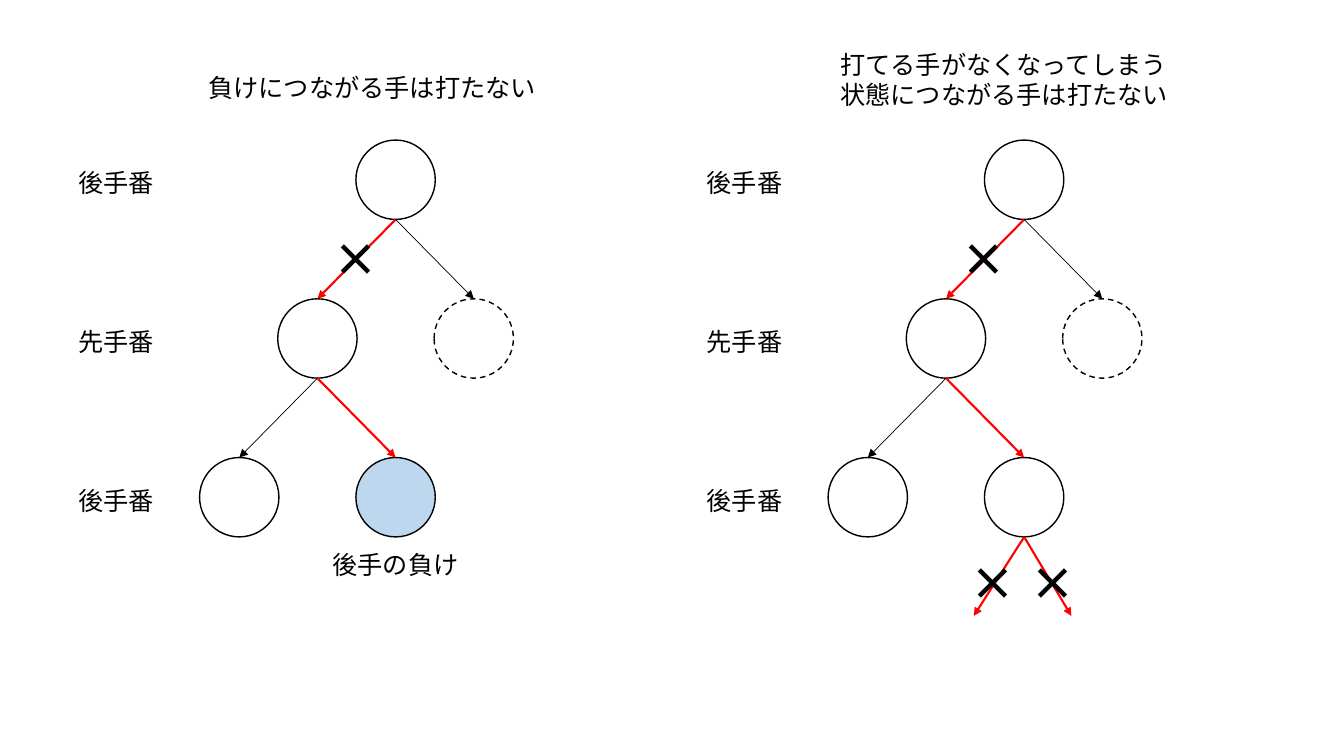
import pptx
import pptx.dml.color
import pptx.enum.dml
import pptx.enum.shapes
import pptx.enum.text
import pptx.oxml
import pptx.oxml.ns
import pptx.util
from pptx.util import Cm

BLACK = pptx.dml.color.RGBColor(0x00, 0x00, 0x00)
WHITE = pptx.dml.color.RGBColor(0xFF, 0xFF, 0xFF)
RED = pptx.dml.color.RGBColor(0xFF, 0x00, 0x00)
LOSS_BLUE = pptx.dml.color.RGBColor(0xBD, 0xD7, 0xEE)
FONT = "Noto Sans CJK JP"

# Tree grid in centimetres, measured from the left edge of a panel
PANEL_STEP = 15.84
DIAMETER = 2
COLUMNS = [6.03 + 1.97 * i for i in range(4)]  # circle centres
ROWS = [3.53 + 4 * i for i in range(3)]  # circle tops


def add_xml(parent, tag, attributes=""):
    namespace = pptx.oxml.ns.nsdecls("a")
    parent.append(pptx.oxml.parse_xml(f"<a:{tag} {namespace} {attributes}/>"))


def add_text(slide, text, x, y, width, height=1.02, size=18, bold=False, wrap=True):
    box = slide.shapes.add_textbox(Cm(x), Cm(y), Cm(width), Cm(height))
    box.text_frame.word_wrap = wrap
    box.text_frame.auto_size = pptx.enum.text.MSO_AUTO_SIZE.SHAPE_TO_FIT_TEXT
    paragraph = box.text_frame.paragraphs[0]
    paragraph.text = text
    font = paragraph.font
    font.name = FONT
    font.size = pptx.util.Pt(size)
    font.bold = bold
    font.color.rgb = BLACK
    # East Asian typeface
    add_xml(paragraph._p.pPr.find(pptx.oxml.ns.qn("a:defRPr")), "ea", f'typeface="{FONT}"')


def add_state(slide, left, column, row, fill=WHITE, dashed=False):
    x = left + COLUMNS[column] - DIAMETER / 2
    state = slide.shapes.add_shape(
        pptx.enum.shapes.MSO_SHAPE.OVAL,
        Cm(x), Cm(ROWS[row]), Cm(DIAMETER), Cm(DIAMETER))
    state.shadow.inherit = False
    state.fill.solid()
    state.fill.fore_color.rgb = fill
    state.line.color.rgb = BLACK
    state.line.width = pptx.util.Pt(1)
    if dashed:
        state.line.dash_style = pptx.enum.dml.MSO_LINE.DASH
    return state


def add_arrow(slide, start, end, color, width):
    arrow = slide.shapes.add_connector(
        pptx.enum.shapes.MSO_CONNECTOR.STRAIGHT, *start, *end)
    arrow.line.color.rgb = color
    arrow.line.width = pptx.util.Pt(width)
    add_xml(arrow.line._get_or_add_ln(), "tailEnd", 'type="triangle"')
    add_xml(arrow._element.spPr, "effectLst")
    return arrow


def bottom_of(state):
    return state.left + state.width // 2, state.top + state.height


def add_move(slide, parent, child, bad=False):
    color, width = (RED, 1.5) if bad else (BLACK, 0.5)
    start = bottom_of(parent)
    arrow = add_arrow(slide, start, start, color, width)
    arrow.end_connect(child, 0)


def add_cross(slide, x, y):
    add_text(slide, "×", x, y, 1.93, 1.63, size=32, bold=True)


def add_tree(slide, left, heading, heading_x, heading_y, heading_height, last_fill):
    add_text(slide, heading, left + heading_x, heading_y, 9.19, heading_height)

    # Whose turn it is on each row
    for turn, top in zip(("後手番", "先手番", "後手番"), ROWS):
        add_text(slide, turn, left + 1.72, top + 0.57, 2.44, wrap=False)

    # Game states and the moves between them
    root = add_state(slide, left, 2, 0)
    bad_reply = add_state(slide, left, 1, 1)
    other_reply = add_state(slide, left, 3, 1, dashed=True)
    safe_end = add_state(slide, left, 0, 2)
    bad_end = add_state(slide, left, 2, 2, fill=last_fill)
    add_move(slide, root, bad_reply, bad=True)
    add_move(slide, root, other_reply)
    add_move(slide, bad_reply, safe_end)
    add_move(slide, bad_reply, bad_end, bad=True)
    add_cross(slide, left + 8.15, 5.71)
    return bad_end


def main():
    presentation = pptx.Presentation()
    presentation.slide_width = Cm(33.87)
    presentation.slide_height = Cm(19.05)
    slide = presentation.slides.add_slide(presentation.slide_layouts[6])

    # Left: a move that leads to a loss
    add_tree(slide, 0, "負けにつながる手は打たない", 5, 1.7, 1.02, LOSS_BLUE)
    add_text(slide, "後手の負け", 8.13, 13.72, 3.71, wrap=False)

    # Right: a move that leads to a state with no moves left
    stuck = add_tree(slide, PANEL_STEP, "打てる手がなくなってしまう状態につながる手は打たない",
                     5.09, 1.12, 1.8, WHITE)
    for arrow_x, cross_x in ((8.7, 8.37), (11.16, 9.89)):
        end = Cm(PANEL_STEP + arrow_x), Cm(15.52)
        add_arrow(slide, bottom_of(stuck), end, RED, 1.5)
        add_cross(slide, PANEL_STEP + cross_x, 13.89)

    presentation.save("out.pptx")


if __name__ == "__main__":
    main()
